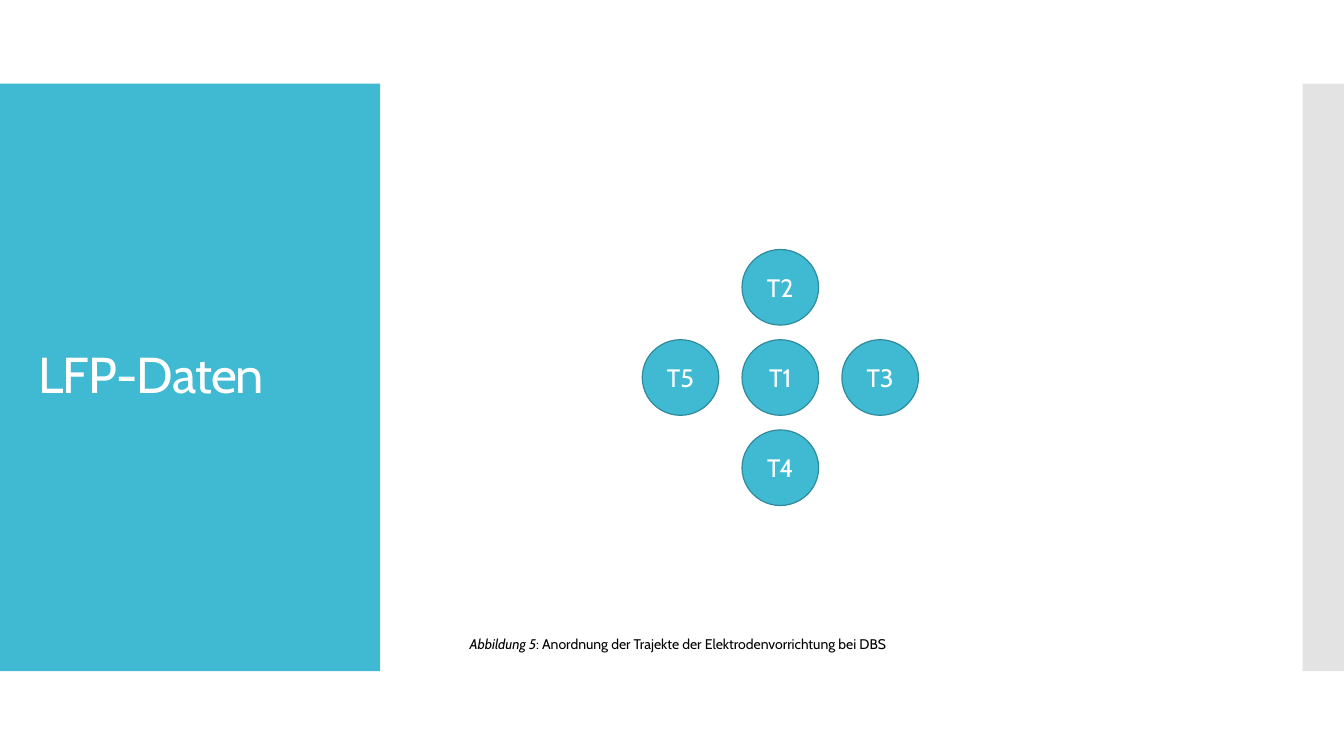
import lxml.etree
import pptx
import pptx.dml.color
import pptx.enum.shapes
import pptx.enum.text
import pptx.oxml.ns
import pptx.util

Inches = pptx.util.Inches
SHAPES = pptx.enum.shapes.MSO_SHAPE
ALIGN = pptx.enum.text.PP_ALIGN
ANCHOR = pptx.enum.text.MSO_ANCHOR
TEAL = "40BAD2"
WHITE = "FFFFFF"


def color(hex_value):
    return pptx.dml.color.RGBColor.from_string(hex_value)


def add_span(para, text, size, hex_value, italic=False):
    span = para.add_run()
    span.text = text
    values = {"name": "Cabin", "size": pptx.util.Pt(size), "italic": italic}
    for name, value in values.items():
        setattr(span.font, name, value)
    span.font.color.rgb = color(hex_value)
    return span


deck = pptx.Presentation()
deck.slide_width = Inches(13.33)
deck.slide_height = Inches(7.5)
page = deck.slides.add_slide(deck.slide_layouts[5])

# Side bands
for left, width, fill in [(0, 3.77, TEAL), (12.92, 0.41, "C8C8C8")]:
    band = page.shapes.add_shape(
        SHAPES.RECTANGLE, Inches(left), Inches(0.83), Inches(width), Inches(5.83))
    band.shadow.inherit = False
    band.fill.solid()
    band.fill.fore_color.rgb = color(fill)
    band.line.fill.background()

# The right band, last in the loop, is half transparent
gray = band.element.spPr.find(".//" + pptx.oxml.ns.qn("a:srgbClr"))
lxml.etree.SubElement(gray, pptx.oxml.ns.qn("a:alpha"), val="50000")

# Title, brought in front of the teal band
title = page.shapes.title
page.shapes.element.append(title.element)
place = {"left": 0.28, "top": 1.23, "width": 3.22, "height": 5.03}
for name, value in place.items():
    setattr(title, name, Inches(value))
title.text_frame.vertical_anchor = ANCHOR.MIDDLE
title.text_frame.word_wrap = True
para = title.text_frame.paragraphs[0]
para.alignment = ALIGN.LEFT
para.line_spacing = 0.9
span = add_span(para, "LFP-Daten", 36, WHITE)
span.font._element.set("spc", "-60")

# Electrode trajectories: a cross around T1, in steps of column and row
trajectories = [("T2", 0, -1), ("T1", 0, 0), ("T3", 1, 0), ("T4", 0, 1), ("T5", -1, 0)]
for label, column, row in trajectories:
    circle = page.shapes.add_shape(
        SHAPES.OVAL,
        Inches(7.36 + 0.99 * column), Inches(3.37 + 0.895 * row),
        Inches(0.76), Inches(0.75))
    circle.shadow.inherit = False
    circle.fill.solid()
    circle.fill.fore_color.rgb = color(TEAL)
    circle.line.color.rgb = color("2F8A9B")
    circle.line.width = pptx.util.Pt(0.85)
    circle.text_frame.vertical_anchor = ANCHOR.MIDDLE
    para = circle.text_frame.paragraphs[0]
    para.alignment = ALIGN.CENTER
    add_span(para, label, 18, WHITE)

# Caption
caption = page.shapes.add_textbox(Inches(4.56), Inches(6.26), Inches(4.37), Inches(0.27))
caption.text_frame.word_wrap = False
caption.text_frame.auto_size = pptx.enum.text.MSO_AUTO_SIZE.SHAPE_TO_FIT_TEXT
para = caption.text_frame.paragraphs[0]
add_span(para, "Abbildung 5", 10, "000000", italic=True)
add_span(para, ": Anordnung der Trajekte der Elektrodenvorrichtung bei DBS", 10, "000000")

deck.save("out.pptx")
